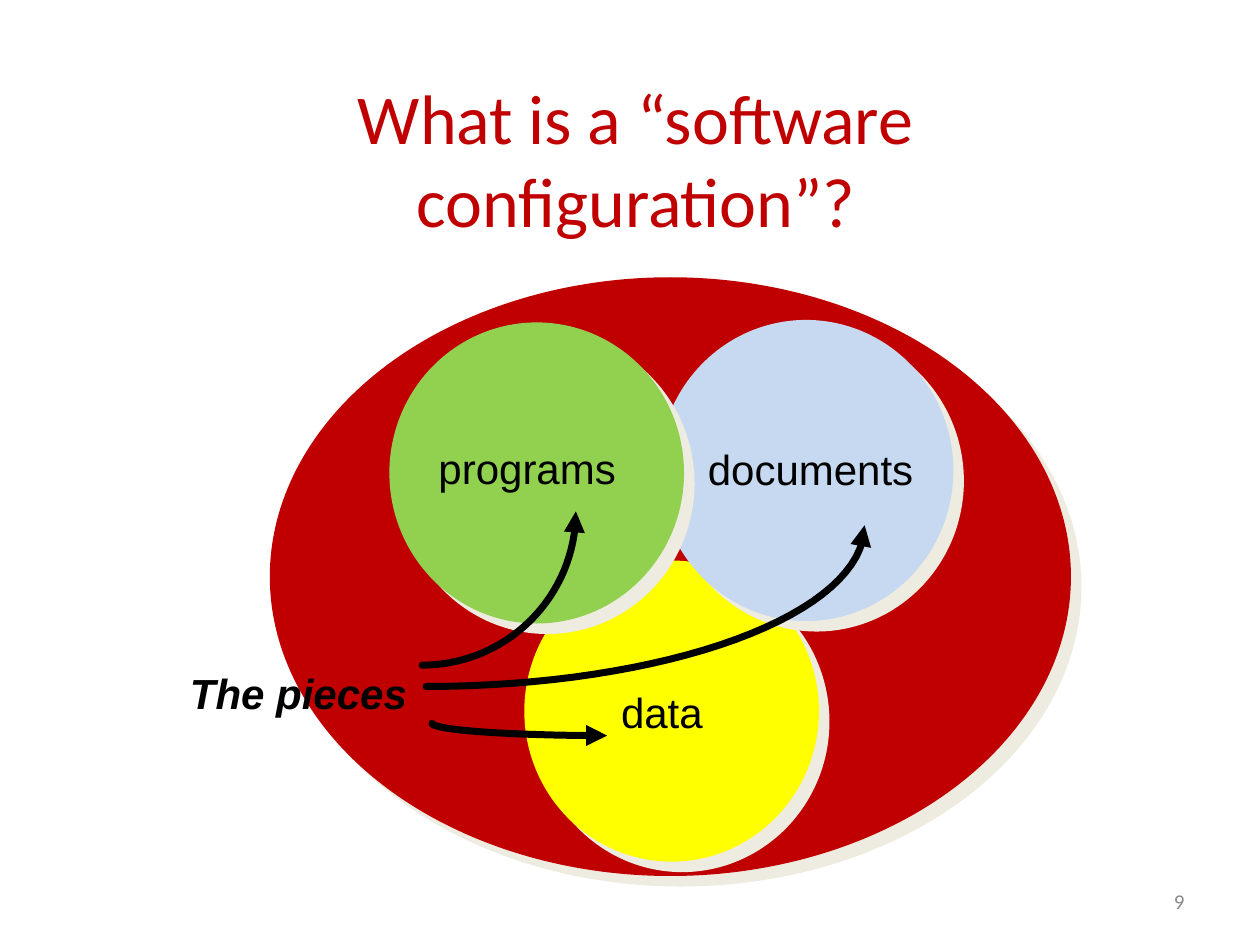
from dataclasses import dataclass
from math import cos, radians, sin

from lxml.etree import SubElement
from pptx import Presentation
from pptx.dml.color import RGBColor
from pptx.enum.shapes import MSO_SHAPE as Shape
from pptx.enum.text import MSO_ANCHOR as Anchor
from pptx.enum.text import MSO_AUTO_SIZE as AutoSize
from pptx.enum.text import PP_ALIGN as Align
from pptx.oxml.ns import qn
from pptx.util import Cm, Pt


@dataclass(frozen=True)
class Theme:
    red: str = "C00000"
    yellow: str = "FFFF00"
    blue: str = "C6D9F1"
    green: str = "92D050"
    black: str = "000000"
    grey: str = "898989"
    shadow: str = "EEECE1"
    heading_font: str = "Calibri"
    label_font: str = "Arial"
    title_size: int = 40
    label_size: int = 24
    number_size: int = 12
    arrow_width: int = 4


THEME = Theme()
CIRCLE = (5.94, 6.07)
ARC_STEPS = 32


def place(shape, left, top, width, height):
    shape.left, shape.top = Cm(left), Cm(top)
    shape.width, shape.height = Cm(width), Cm(height)


def style_text(paragraph, font_name, size, color, emphasis=False):
    font = paragraph.runs[0].font
    font.name, font.size = font_name, Pt(size)
    font.color.rgb = RGBColor.from_string(color)
    if emphasis:
        font.bold = font.italic = True


def add_title(slide, text):
    title = slide.shapes.title
    place(title, 2.54, 2.13, 20.55, 2.11)
    frame = title.text_frame
    frame.text = text
    frame.word_wrap = True
    frame.auto_size = AutoSize.NONE
    frame.vertical_anchor = Anchor.MIDDLE
    heading = frame.paragraphs[0]
    heading.alignment = Align.CENTER
    style_text(heading, THEME.heading_font, THEME.title_size, THEME.red)


def add_ellipse(slide, left, top, width, height, color):
    ellipse = slide.shapes.add_shape(
        Shape.OVAL, Cm(left), Cm(top), Cm(width), Cm(height))
    ellipse.fill.solid()
    ellipse.fill.fore_color.rgb = RGBColor.from_string(color)
    ellipse.line.fill.background()
    # Hard offset shadow towards the lower right
    ellipse.shadow.inherit = False
    effects = ellipse._element.spPr.find(qn("a:effectLst"))
    shadow = SubElement(effects, qn("a:outerShdw"), dist=str(Pt(8.5)),
                        dir="2700000", algn="ctr", rotWithShape="0")
    SubElement(shadow, qn("a:srgbClr"), val=THEME.shadow)


def add_label(slide, text, left, top, width, emphasis=False):
    label = slide.shapes.add_textbox(Cm(left), Cm(top), Cm(width), Cm(1.27))
    frame = label.text_frame
    frame.text = text
    frame.word_wrap = False
    frame.auto_size = AutoSize.SHAPE_TO_FIT_TEXT
    style_text(frame.paragraphs[0], THEME.label_font, THEME.label_size,
               THEME.black, emphasis)


def add_arc_arrow(slide, center_x, center_y, radius_x, radius_y, start_angle):
    """Draw a quarter ellipse whose arrowhead is at the start angle."""
    angles = [radians(start_angle + 90 * step / ARC_STEPS)
              for step in range(ARC_STEPS + 1)]
    points = [(Cm(center_x + radius_x * cos(angle)),
               Cm(center_y + radius_y * sin(angle))) for angle in angles]
    builder = slide.shapes.build_freeform(*points[0])
    builder.add_line_segments(points[1:], close=False)
    arrow = builder.convert_to_shape()
    arrow.fill.background()
    arrow.shadow.inherit = False
    arrow.line.width = Pt(THEME.arrow_width)
    arrow.line.color.rgb = RGBColor.from_string(THEME.black)
    outline = arrow._element.spPr.find(qn("a:ln"))
    outline.set("cap", "rnd")
    SubElement(outline, qn("a:round"))
    SubElement(outline, qn("a:headEnd"), type="triangle")


def add_slide_number(slide, number):
    box = slide.shapes.add_textbox(Cm(18.21), Cm(17.65), Cm(5.92), Cm(1.02))
    frame = box.text_frame
    frame.text = number
    frame.word_wrap = True
    frame.vertical_anchor = Anchor.MIDDLE
    frame.paragraphs[0].alignment = Align.RIGHT
    style_text(frame.paragraphs[0], THEME.heading_font, THEME.number_size,
               THEME.grey)


def main():
    deck = Presentation()
    deck.slide_width, deck.slide_height = Cm(25.4), Cm(19.05)
    slide = deck.slides.add_slide(deck.slide_layouts[5])

    add_slide_number(slide, "9")
    add_title(slide, "What is a “software configuration”?")

    # The configuration and its three overlapping parts
    add_ellipse(slide, 5.44, 5.59, 16.15, 12.07, THEME.red)
    for left, top, color in ((10.57, 11.3, THEME.yellow),
                             (13.28, 6.45, THEME.blue),
                             (7.85, 6.5, THEME.green)):
        add_ellipse(slide, left, top, *CIRCLE, color)

    # Names of the parts
    add_label(slide, "programs", 8.59, 8.79, 4.09)
    add_label(slide, "documents", 14.02, 8.81, 4.65)
    add_label(slide, "data", 12.27, 13.72, 2.16)
    add_label(slide, "The pieces", 3.58, 13.34, 4.88, emphasis=True)

    # Arrows to data, documents and programs
    add_arc_arrow(slide, 12.24, 14.58, 3.53, 0.25, 90)
    add_arc_arrow(slide, 8.59, 10.59, 8.84, 3.25, 0)
    add_arc_arrow(slide, 8.51, 10.31, 3.1, 3.1, 0)

    deck.save("out.pptx")


if __name__ == "__main__":
    main()
